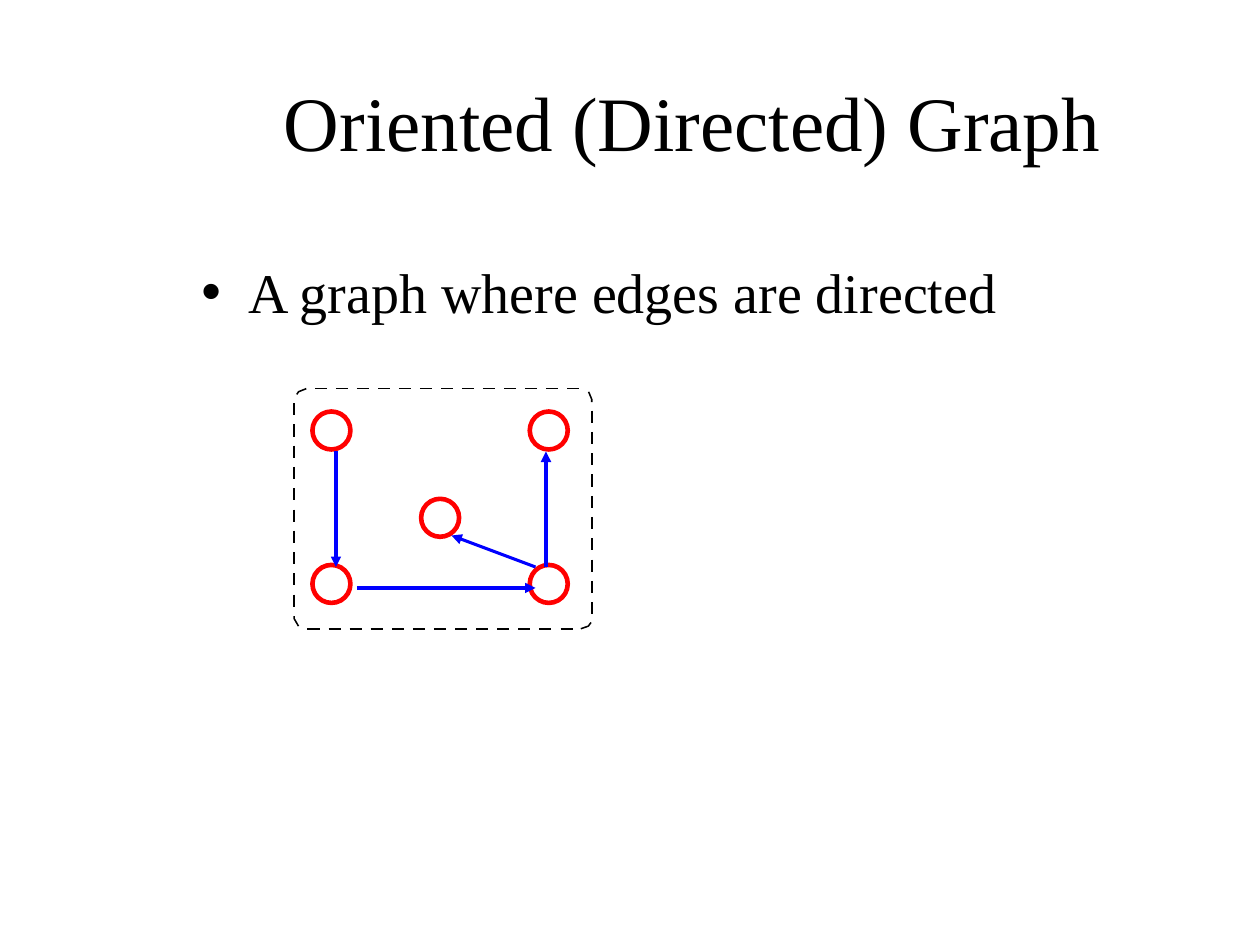
from lxml.etree import SubElement
from pptx import Presentation
from pptx.dml.color import RGBColor
from pptx.enum.shapes import MSO_CONNECTOR, MSO_SHAPE
from pptx.enum.text import MSO_ANCHOR, MSO_AUTO_SIZE, PP_ALIGN
from pptx.oxml.ns import qn
from pptx.util import Pt

BLACK = RGBColor(0, 0, 0)
WHITE = RGBColor(255, 255, 255)
RED = RGBColor(255, 0, 0)
BLUE = RGBColor(0, 0, 255)
FONT = "Times New Roman"
FRAME_LINE = 0.88
DASH = 6.9
HORIZONTAL_DASHES = [(180, 222.1, 12), (175.7, 359.3, 12.05)]
VERTICAL_DASHES = [(168.1, 230.4), (338.2, 234.7)]
HORIZONTAL_COUNT = 13
VERTICAL_COUNT = 10
VERTICAL_PITCH = 12.15
CORNERS = [
    [(175, 222.1), (170.6, 223.9), (169.6, 225.4)],
    [(338.2, 229.7), (338.2, 228.2), (336.4, 223.9)],
    [(168.1, 352.1), (168.1, 353.5), (170.6, 357.8)],
    [(331.9, 359.3), (336.2, 357.8), (337.7, 355.7)],
]
NODE_SIZE = 21.7
COLUMNS = [189.4 + 62.1 * column for column in range(3)]
TOP, MIDDLE, BOTTOM = 246, 295.9, 333.7
NODES = [
    (COLUMNS[0], TOP),
    (COLUMNS[2], TOP),
    (COLUMNS[1], MIDDLE),
    (COLUMNS[0], BOTTOM),
    (COLUMNS[2], BOTTOM),
]
EDGES = [
    (192, 258, 192, 324, 1.75),
    (204, 336, 306, 336, 1.75),
    (306, 324, 258, 306, 1.75),
    (312, 324, 312, 258, 2),
]


def fill_placeholder(shape, text, box, size, anchor, alignment):
    """Place a placeholder, write its single paragraph and return it."""
    shape.left, shape.top, shape.width, shape.height = map(Pt, box)
    frame = shape.text_frame
    frame.text = text
    frame.word_wrap = True
    frame.auto_size = MSO_AUTO_SIZE.NONE
    frame.vertical_anchor = anchor
    paragraph = frame.paragraphs[0]
    paragraph.alignment = alignment
    paragraph.space_before = Pt(0)
    paragraph.font.name = FONT
    paragraph.font.size = Pt(size)
    paragraph.font.color.rgb = BLACK
    return paragraph


def set_hanging_indent(paragraph, indent):
    """Hang the bullet to the left of the paragraph text."""
    properties = paragraph._p.get_or_add_pPr()
    properties.set("marL", str(Pt(indent)))
    properties.set("indent", str(-Pt(indent)))


def add_line(slide, begin_x, begin_y, end_x, end_y, color, width):
    """Add a straight line without a shadow and return it."""
    connector = slide.shapes.add_connector(
        MSO_CONNECTOR.STRAIGHT, Pt(begin_x), Pt(begin_y), Pt(end_x), Pt(end_y)
    )
    connector.line.color.rgb = color
    connector.line.width = Pt(width)
    SubElement(connector._element.spPr, qn("a:effectLst"))
    return connector


def add_corner(slide, points):
    """Add a bent dash at a corner of the frame."""
    start, *rest = [(Pt(x), Pt(y)) for x, y in points]
    builder = slide.shapes.build_freeform(*start)
    builder.add_line_segments(rest, close=False)
    shape = builder.convert_to_shape()
    shape.shadow.inherit = False
    shape.fill.background()
    shape.line.color.rgb = BLACK
    shape.line.width = Pt(FRAME_LINE)


def add_frame(slide):
    """Add the dashed frame around the graph."""
    for left, y, pitch in HORIZONTAL_DASHES:
        for index in range(HORIZONTAL_COUNT):
            x = left + index * pitch
            add_line(slide, x, y, x + DASH, y, BLACK, FRAME_LINE)
    for x, top in VERTICAL_DASHES:
        for index in range(VERTICAL_COUNT):
            y = top + index * VERTICAL_PITCH
            add_line(slide, x, y, x, y + DASH, BLACK, FRAME_LINE)
    for points in CORNERS:
        add_corner(slide, points)


def add_node(slide, center_x, center_y):
    """Add a graph node around its centre."""
    shape = slide.shapes.add_shape(
        MSO_SHAPE.OVAL,
        Pt(center_x - NODE_SIZE / 2),
        Pt(center_y - NODE_SIZE / 2),
        Pt(NODE_SIZE),
        Pt(NODE_SIZE),
    )
    shape.shadow.inherit = False
    shape.fill.solid()
    shape.fill.fore_color.rgb = WHITE
    shape.line.color.rgb = RED
    shape.line.width = Pt(2.64)


def add_edge(slide, begin_x, begin_y, end_x, end_y, width):
    """Add a directed edge with an arrowhead at its end."""
    edge = add_line(slide, begin_x, begin_y, end_x, end_y, BLUE, width)
    SubElement(edge.line._get_or_add_ln(), qn("a:tailEnd"), type="triangle")


def main():
    """Build the slide and save it."""
    presentation = Presentation()
    presentation.slide_width, presentation.slide_height = Pt(720), Pt(540)
    slide = presentation.slides.add_slide(presentation.slide_layouts[1])
    fill_placeholder(
        slide.shapes.title, "Oriented (Directed) Graph",
        (107.8, 23.8, 576, 90), 44, MSO_ANCHOR.MIDDLE, PP_ALIGN.CENTER,
    )
    bullet = fill_placeholder(
        slide.placeholders[1], "A graph where edges are directed",
        (107.8, 143.5, 576, 324), 32, MSO_ANCHOR.TOP, PP_ALIGN.LEFT,
    )
    set_hanging_indent(bullet, 27)
    add_frame(slide)
    for node in NODES:
        add_node(slide, *node)
    for edge in EDGES:
        add_edge(slide, *edge)
    presentation.save("out.pptx")


if __name__ == "__main__":
    main()
